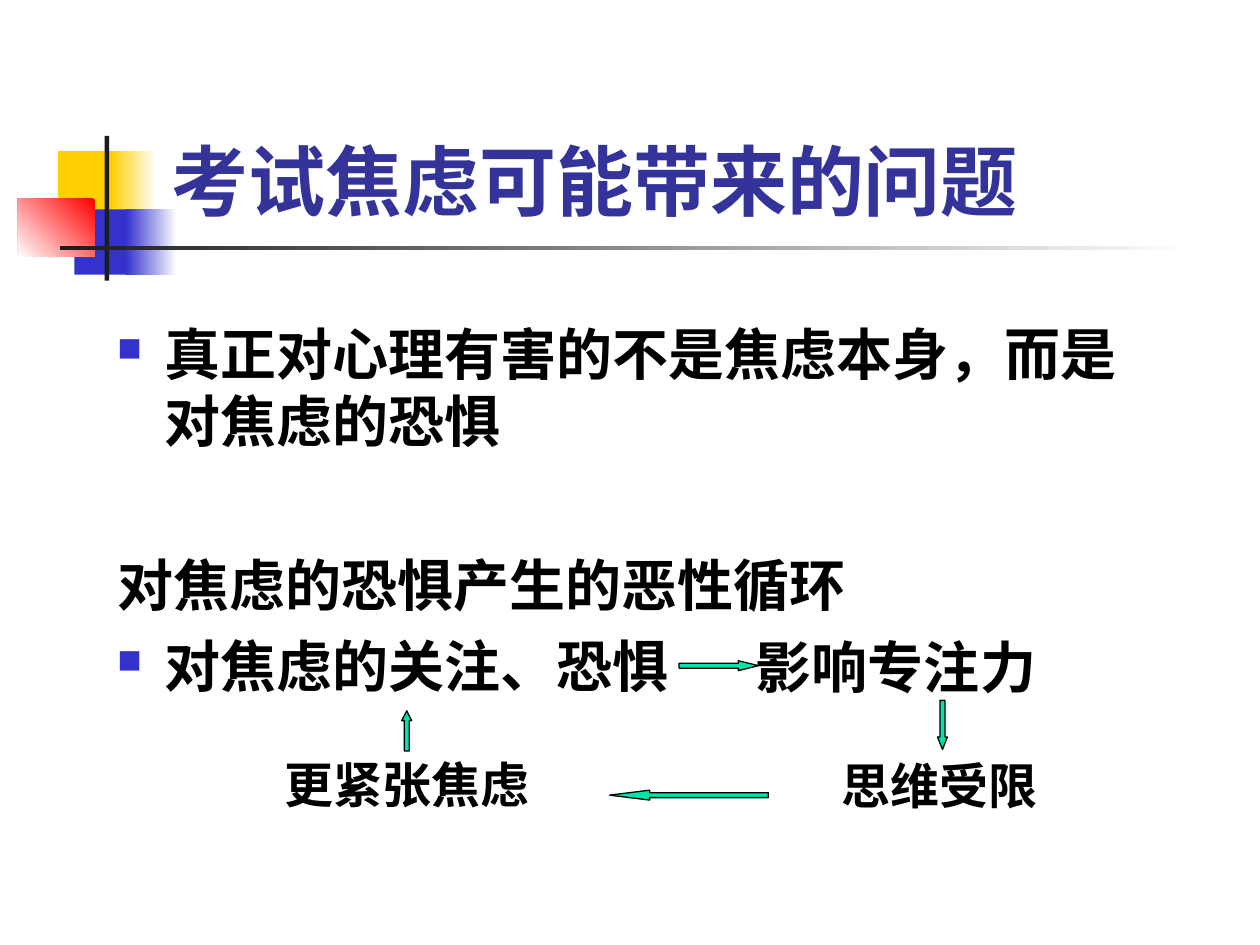
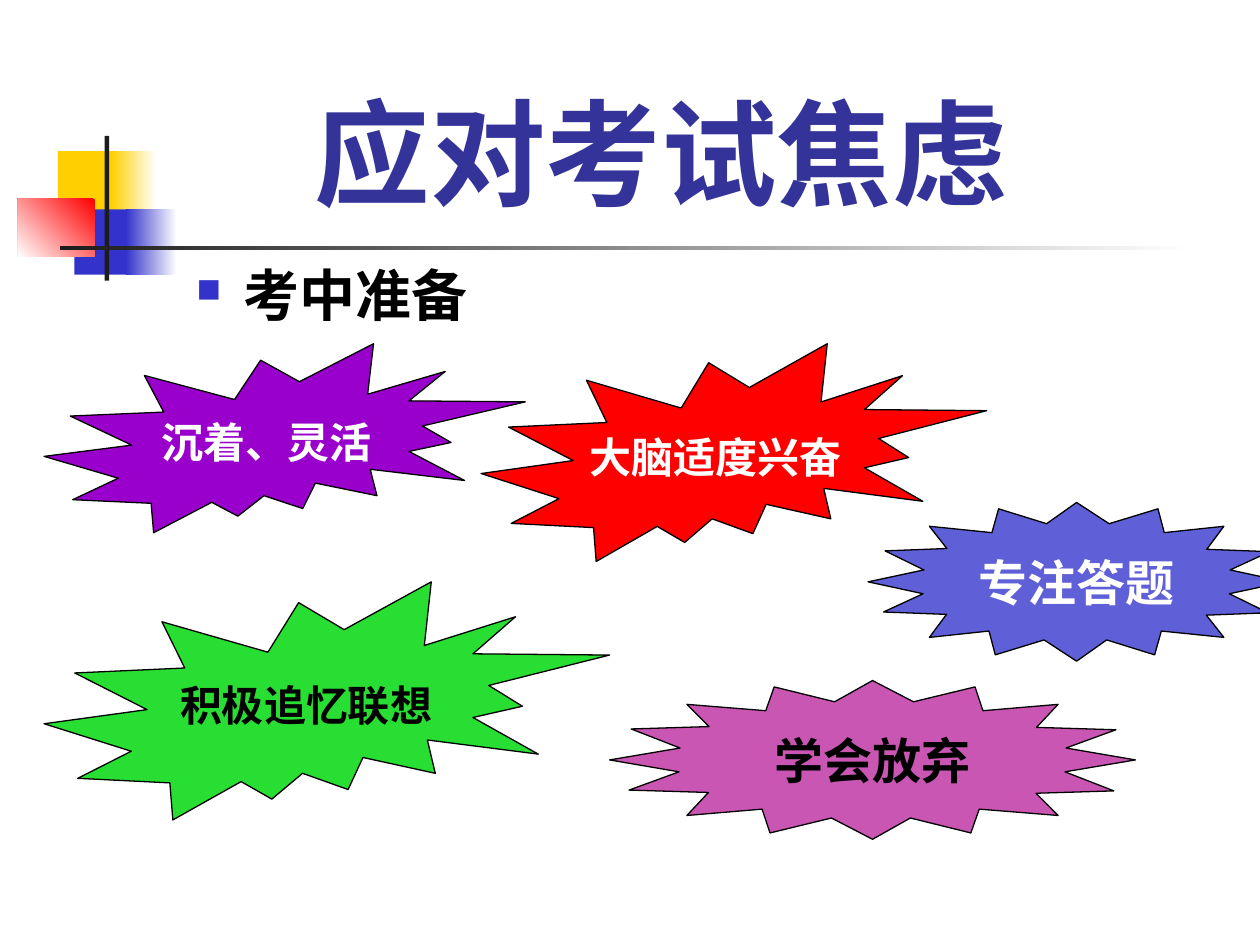
from lxml import etree
from pptx import Presentation
from pptx import util as u
from pptx.dml.color import RGBColor
from pptx.enum import shapes, text
from pptx.oxml import ns

FONT = "Cabin"
BLACK = RGBColor(0x00, 0x00, 0x00)
WHITE = RGBColor(0xFF, 0xFF, 0xFF)
INK = RGBColor(0x1C, 0x1C, 0x1C)
GOLD = RGBColor(0xFF, 0xCF, 0x01)
BLUE = RGBColor(0x33, 0x33, 0xCC)
NAVY = RGBColor(0x33, 0x33, 0x99)
RED = RGBColor(0xFF, 0x00, 0x00)
MINT = RGBColor(0x00, 0xE4, 0xA8)
PURPLE = RGBColor(0x99, 0x00, 0xCC)
GREEN = RGBColor(0x0A, 0xDA, 0x14)
PINK = RGBColor(0xBB, 0x29, 0x9F)
Kind = shapes.MSO_SHAPE


def paint(shape, color, alpha=100, edge=True):
    """Plain fill, optional transparency and thin black outline."""
    shape.shadow.inherit = False
    shape.fill.solid()
    shape.fill.fore_color.rgb = color
    if alpha < 100:
        tone = shape.fill._xPr.find(".//" + ns.qn("a:srgbClr"))
        etree.SubElement(tone, ns.qn("a:alpha")).set("val", str(alpha * 1000))
    if edge:
        shape.line.color.rgb = BLACK
        shape.line.width = u.Pt(0.75)
    else:
        shape.line.fill.background()


def write(para, words, size, color=BLACK, bullet=False):
    """One bold paragraph, with a square bullet if asked for."""
    para.text = words
    if bullet:
        props = para._p.get_or_add_pPr()
        props.set("marL", str(u.Cm(0.95)))
        props.set("indent", str(-u.Cm(0.95)))
        tint = etree.SubElement(props, ns.qn("a:buClr"))
        etree.SubElement(tint, ns.qn("a:srgbClr")).set("val", str(BLUE))
        etree.SubElement(props, ns.qn("a:buSzPct")).set("val", "60000")
        etree.SubElement(props, ns.qn("a:buChar")).set("char", "■")
    for run in para.runs:
        run.font.size = u.Pt(size)
        run.font.bold = True
        run.font.color.rgb = color
        run.font.name = FONT
        face = etree.SubElement(run.font._element, ns.qn("a:ea"))
        face.set("typeface", FONT)


deck = Presentation()
deck.slide_width, deck.slide_height = u.Cm(25.4), u.Cm(19.05)

# Shared ornament: place, first colour, last colour, angle
BLOCKS = [
    ((1.17, 3.05, 1.22, 1.32), GOLD, None, 0),
    ((2.24, 3.05, 0.91, 1.32), WHITE, GOLD, 180),
    ((1.5, 4.22, 1.17, 1.32), BLUE, None, 0),
    ((2.54, 4.22, 1.02, 1.32), WHITE, BLUE, 180),
    ((0.36, 4.01, 1.55, 1.17), RED, WHITE, 225),
    ((2.11, 2.74, 0.09, 2.92), INK, None, 0),
    ((1.22, 4.95, 22.86, 0.09), WHITE, INK, 180),
]
TITLES = [
    ("考试焦虑可能带来的问题", 44, (3.2, 1.93, 18.11, 2.74)),
    ("应对考试焦虑", 66, (6.1, 1.52, 15.29, 3.05)),
]
for words, size, place in TITLES:
    slide = deck.slides.add_slide(deck.slide_layouts[6])
    for spot, first, last, angle in BLOCKS:
        block = slide.shapes.add_shape(Kind.RECTANGLE, *map(u.Cm, spot))
        paint(block, first, edge=False)
        if last is not None:
            block.fill.gradient()
            block.fill.gradient_angle = angle
            for stop, color, pos in zip(block.fill.gradient_stops, (first, last), (0, 1)):
                stop.color.rgb = color
                stop.position = pos
    frame = slide.shapes.add_textbox(*map(u.Cm, place)).text_frame
    frame.word_wrap = True
    frame.vertical_anchor = text.MSO_ANCHOR.BOTTOM
    write(frame.paragraphs[0], words, size, NAVY)
cycle, tips = deck.slides

# Body text: words, bullet, space before
BODIES = [
    (cycle, (2.11, 6.32, 21.59, 11.43), [
        ("真正对心理有害的不是焦虑本身，而是对焦虑的恐惧", True, 0),
        ("对焦虑的恐惧产生的恶性循环", False, 55),
        ("对焦虑的关注、恐惧", True, 8),
    ]),
    (tips, (3.71, 5.13, 6.6, 2.01), [("考中准备", True, 0)]),
]
for slide, place, lines in BODIES:
    frame = slide.shapes.add_textbox(*map(u.Cm, place)).text_frame
    frame.word_wrap = True
    for i, (words, bullet, gap) in enumerate(lines):
        para = frame.add_paragraph() if i else frame.paragraphs[0]
        write(para, words, 32, bullet=bullet)
        if gap:
            para.space_before = u.Pt(gap)

# Steps of the vicious circle
STEPS = [
    ("影响专注力", 32, (14.99, 12.62, 6.2, 1.6)),
    ("思维受限", 28, (16.71, 15.11, 5.41, 1.45)),
    ("更紧张焦虑", 28, (5.49, 15.09, 6.2, 1.45)),
]
for words, size, place in STEPS:
    frame = cycle.shapes.add_textbox(*map(u.Cm, place)).text_frame
    frame.word_wrap = True
    write(frame.paragraphs[0], words, size)

# Arrows between the steps: kind, place, head length
ARROWS = [
    (Kind.RIGHT_ARROW, (13.69, 13.32, 1.6, 0.2), 2.02),
    (Kind.DOWN_ARROW, (18.9, 14.12, 0.2, 0.99), 1.26),
    (Kind.LEFT_ARROW, (12.29, 15.93, 3.2, 0.2), 4.04),
    (Kind.UP_ARROW, (8.1, 14.33, 0.2, 0.81), 0.99),
]
for kind, place, head in ARROWS:
    arrow = cycle.shapes.add_shape(kind, *map(u.Cm, place))
    arrow.adjustments[0] = 0.5
    arrow.adjustments[1] = head
    paint(arrow, MINT)

# Half the outline of the even star in percent; the rest is its half turn
HALF = [
    (0, 50), (13.2, 57.5), (3.7, 69), (18.8, 70.5),
    (14.7, 85), (29, 81), (30.5, 96), (42.2, 86.6),
    (50, 100), (57.2, 86.6), (68.7, 96), (70.3, 81),
    (85.3, 85), (81.1, 71), (95.9, 69.5), (86.6, 57.5),
]
STAR = HALF + [(100 - x, 100 - y) for x, y in HALF]

# Bursts with advice: words, size, text colour, place, fill, opacity, even star
BURSTS = [
    ("沉着、灵活", 24, WHITE, (0.89, 6.93, 9.7, 3.81), PURPLE, 100, False),
    ("大脑适度兴奋", 24, WHITE, (9.7, 6.93, 10.19, 4.39), RED, 100, False),
    ("积极追忆联想", 24, BLACK, (0.89, 11.73, 11.4, 4.8), GREEN, 87, False),
    ("专注答题", 28, WHITE, (17.5, 10.13, 8.41, 3.2), BLUE, 78, True),
    ("学会放弃", 28, BLACK, (12.29, 13.72, 10.6, 3.2), PINK, 79, True),
]
for words, size, color, place, fill, alpha, even in BURSTS:
    if even:
        left, top, wide, high = place
        dots = [(u.Cm(left + wide * x / 100), u.Cm(top + high * y / 100)) for x, y in STAR]
        pen = tips.shapes.build_freeform(*dots[0])
        pen.add_line_segments(dots[1:], close=True)
        burst = pen.convert_to_shape()
    else:
        burst = tips.shapes.add_shape(Kind.EXPLOSION2, *map(u.Cm, place))
    paint(burst, fill, alpha)
    frame = burst.text_frame
    frame.word_wrap = False
    frame.vertical_anchor = text.MSO_ANCHOR.MIDDLE
    write(frame.paragraphs[0], words, size, color)
    frame.paragraphs[0].alignment = text.PP_ALIGN.CENTER

deck.save("out.pptx")
